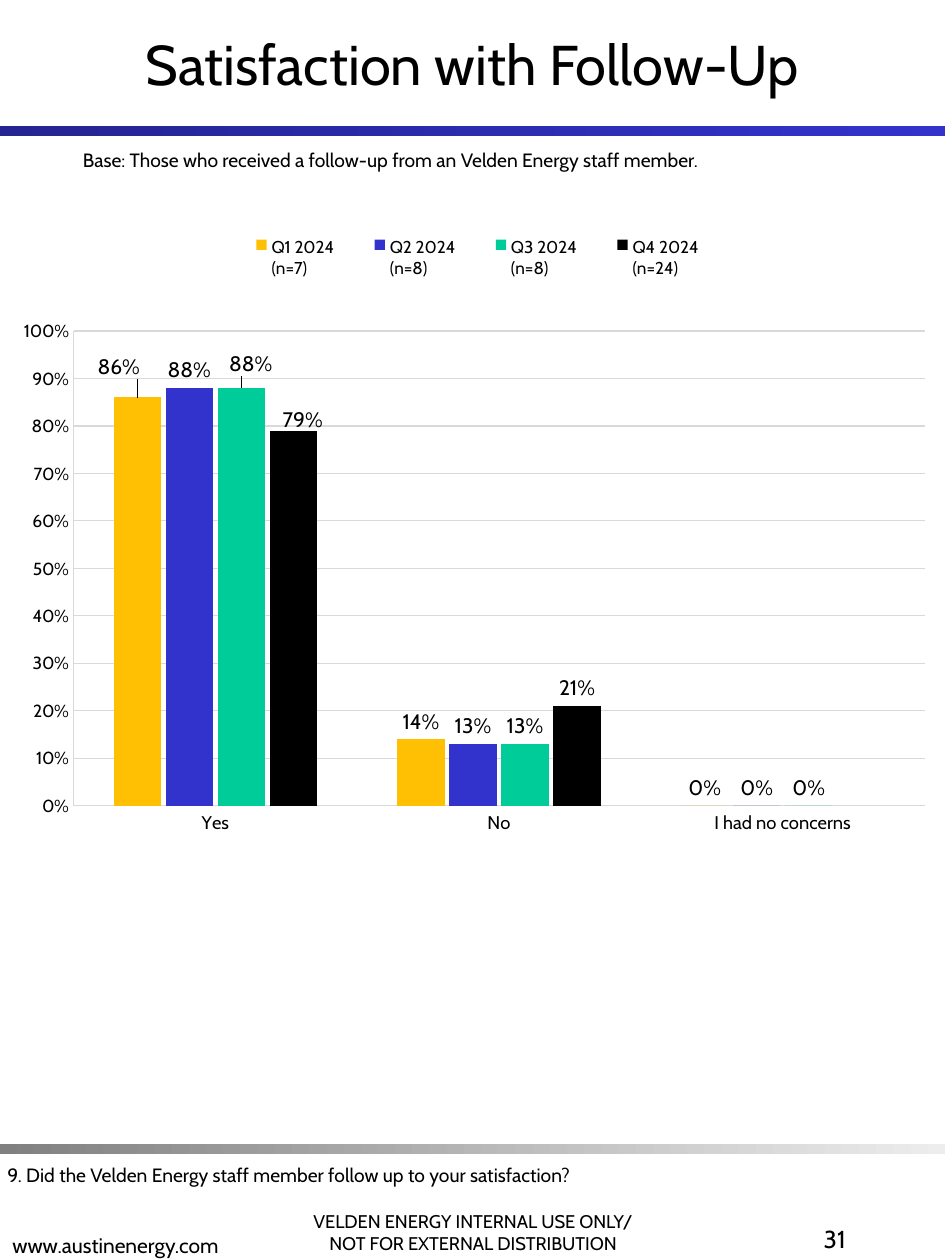
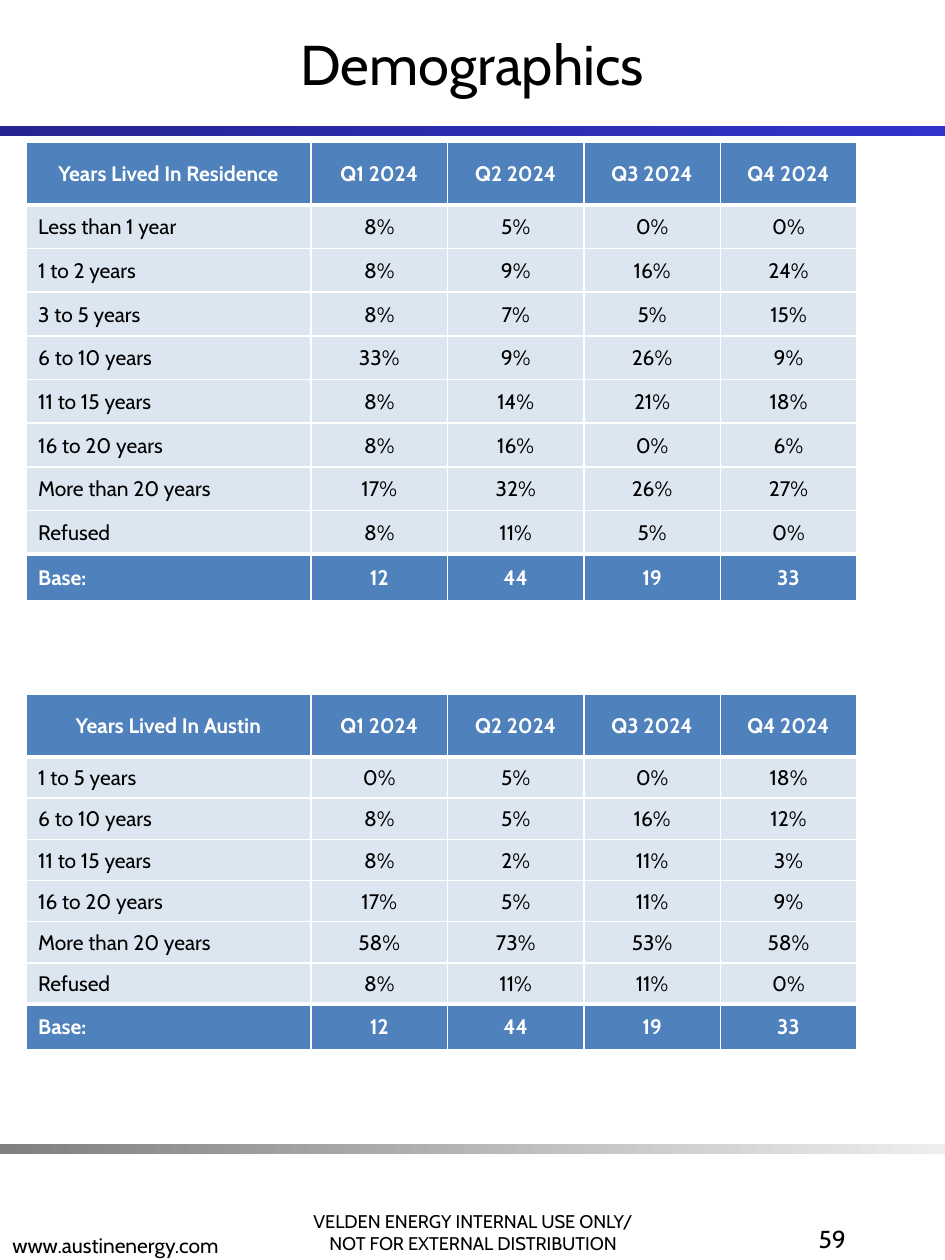
"""Build two survey report slides: a follow-up satisfaction chart and demographics tables."""
from lxml.etree import SubElement
from pptx import Presentation
from pptx.chart.data import CategoryChartData
from pptx.dml.color import RGBColor
from pptx.enum.chart import XL_CHART_TYPE, XL_LABEL_POSITION, XL_LEGEND_POSITION, XL_TICK_MARK
from pptx.enum.shapes import MSO_SHAPE
from pptx.enum.text import MSO_ANCHOR, PP_ALIGN
from pptx.oxml import parse_xml
from pptx.oxml.ns import nsdecls, qn
from pptx.util import Cm, Pt

FONT = "Cabin"
COLORS = {
    "text": "000000", "white": "FFFFFF", "grid": "D9D9D9",
    "navy": "242492", "blue": "3333CC", "gray": "808080", "silver": "EDEDED",
    "header": "4F81BD", "body": "DCE6F1",
    "q1": "FFC003", "q2": "3233CC", "q3": "00CC99", "q4": "000000",
}
BANDS = [(2.54, "navy", "blue"), (23.06, "gray", "silver")]
USE_NOTICE = ["VELDEN ENERGY INTERNAL USE ONLY/", "NOT FOR EXTERNAL DISTRIBUTION"]
WEBSITE = "www.austinenergy.com"

BASE_NOTE = "Base: Those who received a follow-up from an Velden Energy staff member."
QUESTION = "9. Did the Velden Energy staff member follow up to your satisfaction?"
ANSWERS = ["Yes", "No", "I had no concerns"]
QUARTERS = [
    ("Q1 2024\n(n=7)", "q1", (0.86, 0.14, 0), (-0.02, -0.02)),
    ("Q2 2024\n(n=8)", "q2", (0.88, 0.13, 0), None),
    ("Q3 2024\n(n=8)", "q3", (0.88, 0.13, 0), (0.01, -0.01)),
    ("Q4 2024\n(n=24)", "q4", (0.79, 0.21, None), (0.01, 0.01)),
]

QUARTER_HEADS = ["Q1 2024", "Q2 2024", "Q3 2024", "Q4 2024"]
BASE_ROW = ("Base:", 12, 44, 19, 33)
RESIDENCE_YEARS = [
    ("Less than 1 year", 8, 5, 0, 0),
    ("1 to 2 years", 8, 9, 16, 24),
    ("3 to 5 years", 8, 7, 5, 15),
    ("6 to 10 years", 33, 9, 26, 9),
    ("11 to 15 years", 8, 14, 21, 18),
    ("16 to 20 years", 8, 16, 0, 6),
    ("More than 20 years", 17, 32, 26, 27),
    ("Refused", 8, 11, 5, 0),
]
AUSTIN_YEARS = [
    ("1 to 5 years", 0, 5, 0, 18),
    ("6 to 10 years", 8, 5, 16, 12),
    ("11 to 15 years", 8, 2, 11, 3),
    ("16 to 20 years", 17, 5, 11, 9),
    ("More than 20 years", 58, 73, 53, 58),
    ("Refused", 8, 11, 11, 0),
]
DEMOGRAPHICS = [
    ("Years Lived In Residence", RESIDENCE_YEARS, 2.87, 0.88, 0.95),
    ("Years Lived In Austin", AUSTIN_YEARS, 14, 0.83, 0.92),
]


def rgb(name):
    return RGBColor.from_string(COLORS[name])


def style(font, size, color="text", bold=False):
    font.name, font.size, font.bold = FONT, Pt(size), bold
    font.color.rgb = rgb(color)


def add_text(slide, lines, box, size, align=PP_ALIGN.LEFT, anchor=MSO_ANCHOR.TOP):
    frame = slide.shapes.add_textbox(*map(Cm, box)).text_frame
    frame.word_wrap, frame.vertical_anchor = True, anchor
    frame.text = "\n".join(lines)
    for paragraph in frame.paragraphs:
        paragraph.alignment = align
        style(paragraph.font, size)


def add_page(deck, title, number):
    slide = deck.slides.add_slide(deck.slide_layouts[6])
    for top, *ends in BANDS:
        band = slide.shapes.add_shape(MSO_SHAPE.RECTANGLE, 0, Cm(top), deck.slide_width, Cm(0.2))
        band.shadow.inherit = False
        band.line.fill.background()
        band.fill.gradient()
        band.fill.gradient_angle = 0
        for stop, color in zip(band.fill.gradient_stops, ends):
            stop.color.rgb = rgb(color)
    add_text(slide, USE_NOTICE, (5.49, 23.7, 8.1, 1.7), 10.5, PP_ALIGN.CENTER, MSO_ANCHOR.BOTTOM)
    add_text(slide, [WEBSITE], (0, 23.77, 8.1, 1.7), 12, anchor=MSO_ANCHOR.BOTTOM)
    add_text(slide, [title], (0, 0, 19.05, 2.54), 32, PP_ALIGN.CENTER, MSO_ANCHOR.MIDDLE)
    add_text(slide, [str(number)], (13.34, 24.56, 3.96, 0.84), 14, PP_ALIGN.RIGHT)
    return slide


def manual_layout(x, y, size=None, target=None, mode="edge"):
    parts = [("layoutTarget", target)] if target else []
    if mode == "edge":
        parts += [("xMode", mode), ("yMode", mode)]
    parts += [("x", x), ("y", y)]
    if size:
        parts += zip("wh", size)
    children = "".join(f'<c:{tag} val="{value}"/>' for tag, value in parts)
    return parse_xml(f'<c:layout {nsdecls("c")}><c:manualLayout>{children}</c:manualLayout></c:layout>')


def place_layout(before, layout):
    for old in before.getparent().findall(qn("c:layout")):
        before.getparent().remove(old)
    before.addnext(layout)


def format_axis(axis, size):
    style(axis.tick_labels.font, size)
    axis.major_tick_mark = axis.minor_tick_mark = XL_TICK_MARK.NONE
    axis.format.line.color.rgb = rgb("grid")
    axis.format.line.width = Pt(0.5)


def label_series(series, shift):
    labels = series.data_labels
    labels.show_value = True
    labels.number_format, labels.number_format_is_linked = "0%", False
    labels.position = XL_LABEL_POSITION.OUTSIDE_END
    style(labels.font, 12)
    if shift:
        first_label = series.points[0].data_label
        style(first_label.font, 12)
        first_label.position = XL_LABEL_POSITION.OUTSIDE_END
        index = labels._element.find(qn("c:dLbl")).find(qn("c:idx"))
        index.addnext(parse_xml(f'<c:numFmt {nsdecls("c")} formatCode="0%" sourceLinked="0"/>'))
        place_layout(index, manual_layout(*shift, mode="factor"))


def add_satisfaction_chart(slide):
    data = CategoryChartData(number_format="0%")
    data.categories = ANSWERS
    for name, _, shares, _ in QUARTERS:
        data.add_series(name, shares)
    chart = slide.shapes.add_chart(
        XL_CHART_TYPE.COLUMN_CLUSTERED, Cm(0.15), Cm(4.01), Cm(18.77), Cm(13.06), data).chart
    chart.has_title = False
    style(chart.font, 10)
    chart.has_legend = True
    chart.legend.position = XL_LEGEND_POSITION.TOP
    chart.legend.include_in_layout = False
    style(chart.legend.font, 9.8)
    place_layout(chart.legend._element.find(qn("c:legendPos")),
                 manual_layout(0.23, 0.05, (0.55, 0.08)))
    plot_area = chart._chartSpace.chart.plotArea
    for old in plot_area.findall(qn("c:layout")):
        plot_area.remove(old)
    plot_area.insert(0, manual_layout(0.071, 0.204, (0.914, 0.733), "inner"))

    format_axis(chart.category_axis, 10.5)
    scale = chart.value_axis
    format_axis(scale, 10)
    scale.minimum_scale, scale.maximum_scale, scale.major_unit = 0, 1, 0.1
    scale.tick_labels.number_format, scale.tick_labels.number_format_is_linked = "0%", False
    scale.major_gridlines.format.line.color.rgb = rgb("grid")
    scale.major_gridlines.format.line.width = Pt(0.62)

    plot = chart.plots[0]
    plot.gap_width, plot.overlap, plot.vary_by_categories = 170, -10, False
    for series, (_, color, _, shift) in zip(plot.series, QUARTERS):
        series.format.fill.solid()
        series.format.fill.fore_color.rgb = rgb(color)
        label_series(series, shift)


def set_borders(cell, top, bottom):
    for side, width in (("L", 1), ("R", 1), ("T", top), ("B", bottom)):
        line = SubElement(cell._tc.get_or_add_tcPr(), qn(f"a:ln{side}"), w=str(Pt(width)))
        SubElement(SubElement(line, qn("a:solidFill")), qn("a:srgbClr"), val=COLORS["white"])


def add_years_table(slide, heading, years, top, row_height, base_height):
    rows = [(heading, *QUARTER_HEADS)]
    rows += [(label, *(f"{share}%" for share in shares)) for label, *shares in years]
    rows.append(BASE_ROW)
    heights = [1.26] + [row_height] * len(years) + [base_height]
    widths = [5.75] + [2.75] * len(QUARTER_HEADS)
    table = slide.shapes.add_table(len(rows), len(widths), Cm(0.52), Cm(top),
                                   Cm(sum(widths)), Cm(sum(heights))).table
    table.horz_banding = False
    for column, width in zip(table.columns, widths):
        column.width = Cm(width)
    last = len(rows) - 1
    for r, (values, height) in enumerate(zip(rows, heights)):
        table.rows[r].height = Cm(height)
        strong = r in (0, last)
        for c, value in enumerate(values):
            cell = table.cell(r, c)
            row_label = c == 0 and r > 0
            set_borders(cell, 3 if r in (1, last) else 1, 3 if r in (0, last - 1) else 1)
            cell.fill.solid()
            cell.fill.fore_color.rgb = rgb("header" if strong else "body")
            cell.vertical_anchor = MSO_ANCHOR.MIDDLE
            cell.margin_left = Cm(0.25 if row_label else 0.02)
            cell.margin_top = cell.margin_right = Cm(0.02)
            cell.margin_bottom = 0
            cell.text = str(value)
            paragraph = cell.text_frame.paragraphs[0]
            paragraph.alignment = PP_ALIGN.LEFT if row_label else PP_ALIGN.CENTER
            style(paragraph.font, 12, "white" if strong else "text", strong)


def main():
    deck = Presentation()
    deck.slide_width, deck.slide_height = Cm(19.05), Cm(25.4)

    satisfaction = add_page(deck, "Satisfaction with Follow-Up", 31)
    add_text(satisfaction, [QUESTION], (-0.1, 23.32, 17.4, 0.74), 11)
    add_satisfaction_chart(satisfaction)
    add_text(satisfaction, [BASE_NOTE], (1.42, 2.87, 16.36, 0.74), 11)

    demographics = add_page(deck, "Demographics", 59)
    for years_table in DEMOGRAPHICS:
        add_years_table(demographics, *years_table)

    deck.save("out.pptx")


if __name__ == "__main__":
    main()
